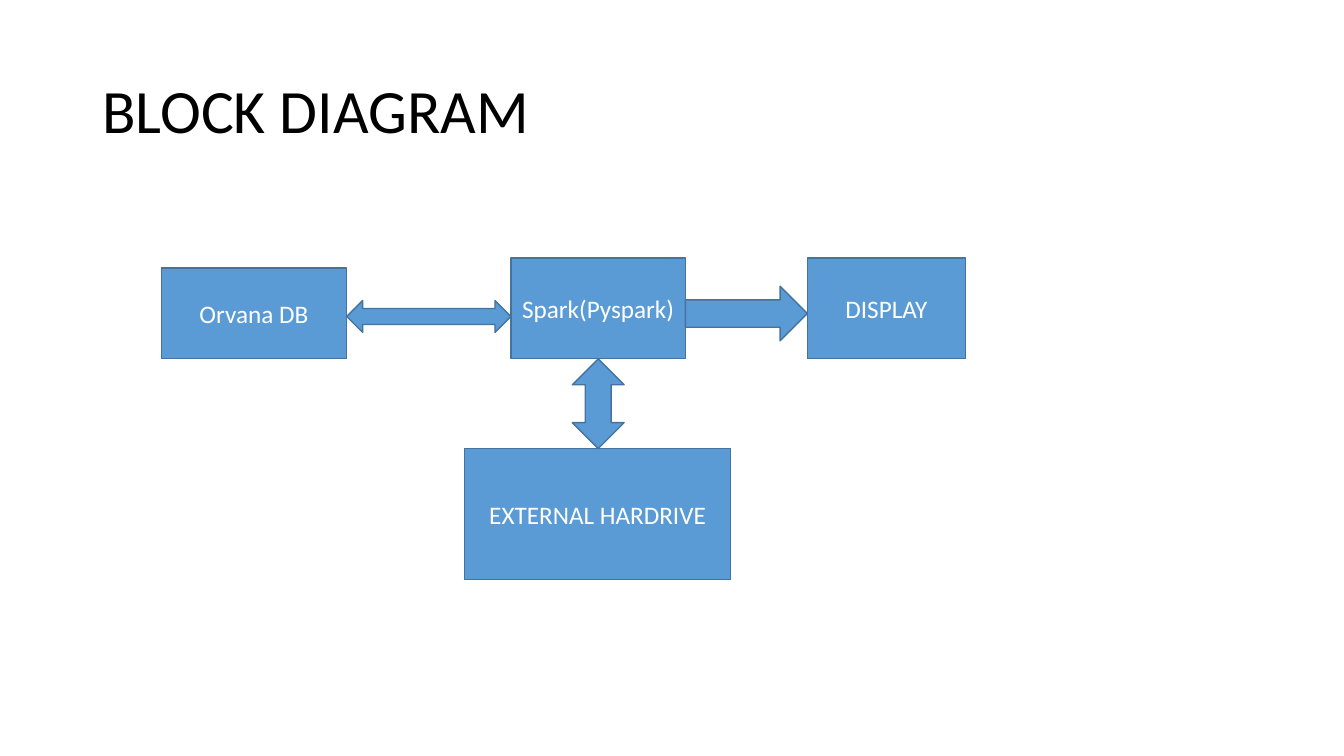
from pptx import Presentation
from pptx.dml.color import RGBColor
from pptx.enum.shapes import MSO_SHAPE
from pptx.enum.text import MSO_ANCHOR, PP_ALIGN
from pptx.util import Pt

COLORS = {"fill": "5B9BD5", "line": "43739E", "title": "000000", "label": "FFFFFF"}
FONT = "Calibri"

# Blocks: label, then left, top, width, height within the diagram
BLOCKS = {
    "database": ("Orvana DB", 0, 7.2, 132.5, 64.8),
    "spark": ("Spark(Pyspark)", 249.8, 0, 124.6, 72),
    "display": ("DISPLAY", 461.5, 0, 113, 72),
    "drive": ("EXTERNAL HARDRIVE", 216.7, 136.1, 190, 93.6),
}


def color(name):
    return RGBColor.from_string(COLORS[name])


def format_text(p, size, name):
    font = p.runs[0].font
    font.name, font.size = FONT, Pt(size)
    font.color.rgb = color(name)


def add_title(s, text, left, top, width, height):
    sp = s.shapes.add_textbox(Pt(left), Pt(top), Pt(width), Pt(height))
    tf = sp.text_frame
    tf.word_wrap = True
    tf.vertical_anchor = MSO_ANCHOR.MIDDLE
    tf.text = text
    p = tf.paragraphs[0]
    p.line_spacing = 0.9
    format_text(p, 44, "title")


def add_part(s, kind, left, top, width, height):
    sp = s.shapes.add_shape(kind, Pt(left), Pt(top), Pt(width), Pt(height))
    sp.shadow.inherit = False
    sp.fill.solid()
    sp.fill.fore_color.rgb = color("fill")
    sp.line.color.rgb = color("line")
    sp.line.width = Pt(1)
    return sp


def add_block(s, text, left, top, width, height):
    sp = add_part(s, MSO_SHAPE.RECTANGLE, left, top, width, height)
    tf = sp.text_frame
    tf.word_wrap = True
    tf.vertical_anchor = MSO_ANCHOR.MIDDLE
    tf.text = text
    p = tf.paragraphs[0]
    p.alignment = PP_ALIGN.CENTER
    format_text(p, 18, "label")


def add_diagram(s, left, top):
    boxes = {}
    for name, (text, x, y, width, height) in BLOCKS.items():
        boxes[name] = (left + x, top + y, width, height)
        add_block(s, text, *boxes[name])

    # Horizontal arrows fill the gaps between neighbouring blocks
    for kind, start, end, y, height in (
        (MSO_SHAPE.LEFT_RIGHT_ARROW, "database", "spark", 30.4, 22.8),
        (MSO_SHAPE.RIGHT_ARROW, "spark", "display", 20.2, 39),
    ):
        x = boxes[start][0] + boxes[start][2]
        add_part(s, kind, x, top + y, boxes[end][0] - x, height)

    # Vertical arrow centred under the Spark block
    x, y, width, height = boxes["spark"]
    arrow_width = 37
    bottom = y + height
    add_part(s, MSO_SHAPE.UP_DOWN_ARROW, x + (width - arrow_width) / 2, bottom,
             arrow_width, boxes["drive"][1] - bottom)


def main():
    prs = Presentation()
    prs.slide_width, prs.slide_height = Pt(960), Pt(540)
    s = prs.slides.add_slide(prs.slide_layouts[6])
    add_title(s, "BLOCK DIAGRAM", 66, 28.8, 828, 104.4)
    add_diagram(s, 115.2, 184.3)
    prs.save("out.pptx")


if __name__ == "__main__":
    main()
